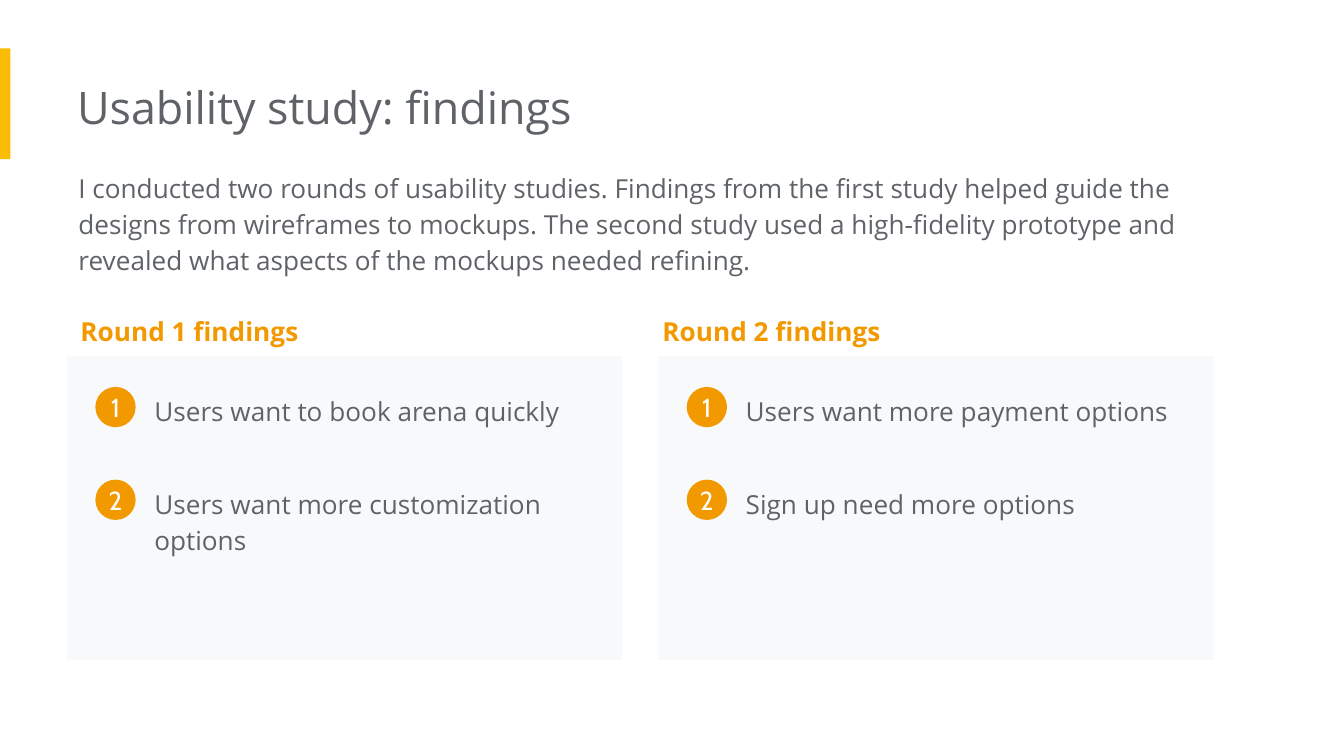
from pptx import Presentation
from pptx.dml.color import RGBColor
from pptx.enum.shapes import MSO_SHAPE
from pptx.enum.text import MSO_ANCHOR, MSO_AUTO_SIZE, PP_ALIGN
from pptx.util import Pt

RECT, OVAL = MSO_SHAPE.RECTANGLE, MSO_SHAPE.OVAL
MIDDLE, CENTER = MSO_ANCHOR.MIDDLE, PP_ALIGN.CENTER
GROW = MSO_AUTO_SIZE.SHAPE_TO_FIT_TEXT

GRAY = RGBColor(0x5F, 0x63, 0x68)
ORANGE = RGBColor(0xF2, 0x99, 0x00)
YELLOW = RGBColor(0xFB, 0xBC, 0x04)
PALE = RGBColor(0xF8, 0xF9, 0xFA)
WHITE = RGBColor(0xFF, 0xFF, 0xFF)

TITLE = "Usability study: findings"
INTRO = (
    "I conducted two rounds of usability studies. Findings from the first "
    "study helped guide the designs from wireframes to mockups. The second "
    "study used a high-fidelity prototype and revealed what aspects of the "
    "mockups needed refining."
)
ROUNDS = [
    (36, 36, "Round 1 findings", [
        ("Users want to book arena quickly", 31.7),
        ("Users want more customization options", 70.6),
    ]),
    (352.8, 347.8, "Round 2 findings", [
        ("Users want more payment options", 70.6),
        ("Sign up need more options", 51.1),
    ]),
]
TOP = 190.8
STEP = 49.7


class Page:
    font = "Open Sans"
    badge_font = "Cabin"
    size = 14
    inset = 7.2
    lead = 1.15

    def __init__(self, slide):
        self.slide = slide

    def shape(self, kind, x, y, w, h, fill):
        shape = self.slide.shapes.add_shape(kind, Pt(x), Pt(y), Pt(w), Pt(h))
        shape.shadow.inherit = False
        shape.fill.solid()
        shape.fill.fore_color.rgb = fill
        shape.line.fill.background()
        return shape

    def run(self, para, text, color, font=font, size=size, bold=False):
        run = para.add_run()
        run.text = text
        run.font.name = font
        run.font.size = Pt(size)
        run.font.bold = bold
        run.font.color.rgb = color

    def text(self, x, y, w, h, text, color=GRAY, left=inset, lead=lead, **style):
        box = self.slide.shapes.add_textbox(Pt(x), Pt(y), Pt(w), Pt(h))
        frame = box.text_frame
        frame.word_wrap = True
        frame.auto_size = GROW
        frame.margin_left = Pt(left)
        frame.margin_right = Pt(self.inset)
        frame.margin_top = frame.margin_bottom = Pt(self.inset)
        para = frame.paragraphs[0]
        para.line_spacing = lead
        self.run(para, text, color, **style)

    def badge(self, x, y, text):
        frame = self.shape(OVAL, x, y, 21.6, 21.6, ORANGE).text_frame
        frame.margin_left = frame.margin_right = 0
        frame.margin_top = frame.margin_bottom = 0
        frame.vertical_anchor = MIDDLE
        para = frame.paragraphs[0]
        para.alignment = CENTER
        self.run(para, text, WHITE, self.badge_font)

    def panel(self, x, head_x, head, items):
        self.text(head_x, 159.1, 262.8, 31.7, head, ORANGE, bold=True)
        self.shape(RECT, x, TOP, 297.4, 162.7, PALE)
        for i, (item, h) in enumerate(items):
            y = TOP + 11.5 + i * STEP
            self.text(x + 39.6, y, 262.8, h, item)
            self.badge(x + 15.1, y + 5, str(i + 1))


def main():
    deck = Presentation()
    deck.slide_width, deck.slide_height = Pt(720), Pt(405)
    page = Page(deck.slides.add_slide(deck.slide_layouts[6]))
    page.shape(RECT, 0, 26, 5.6, 59.3, YELLOW)
    page.text(41.3, 35.3, 484.6, 43.9, TITLE, left=0, lead=1, size=24)
    page.text(42, 82.8, 620, 90, INTRO, left=0)
    for part in ROUNDS:
        page.panel(*part)
    deck.save("out.pptx")


if __name__ == "__main__":
    main()
